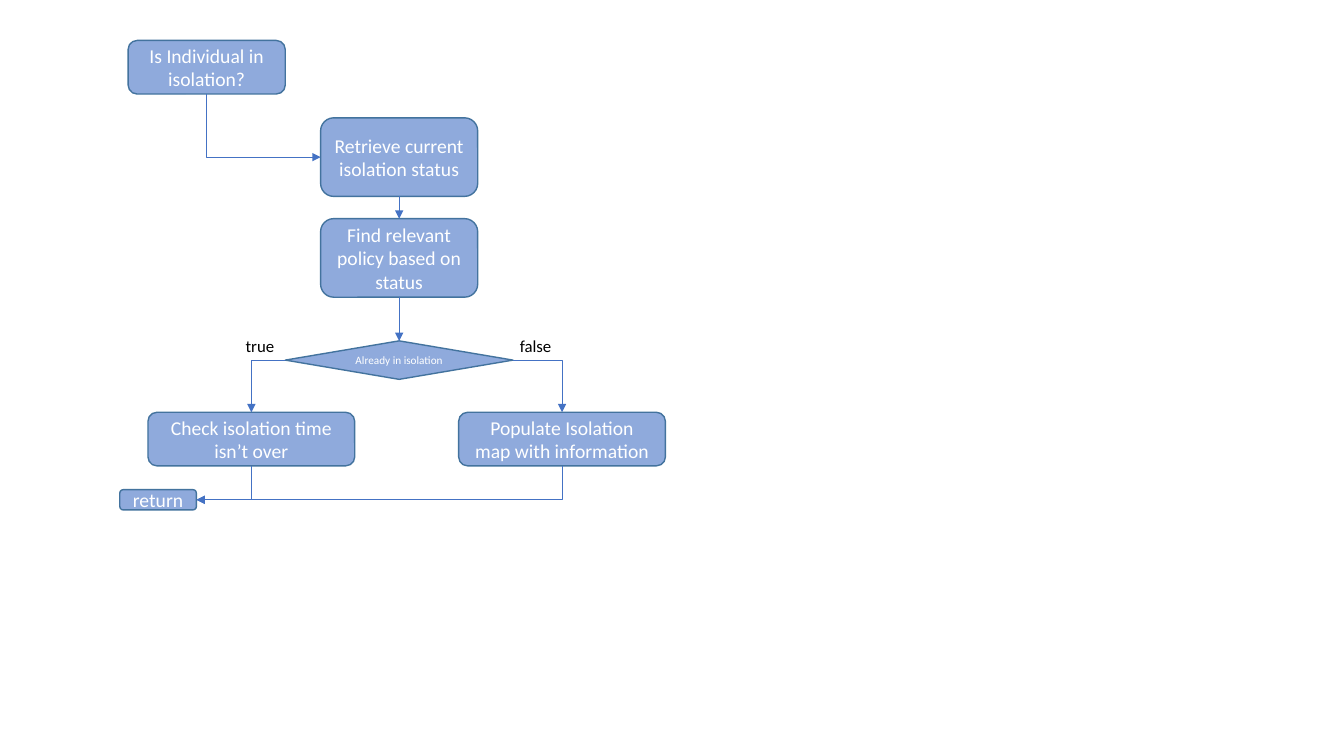
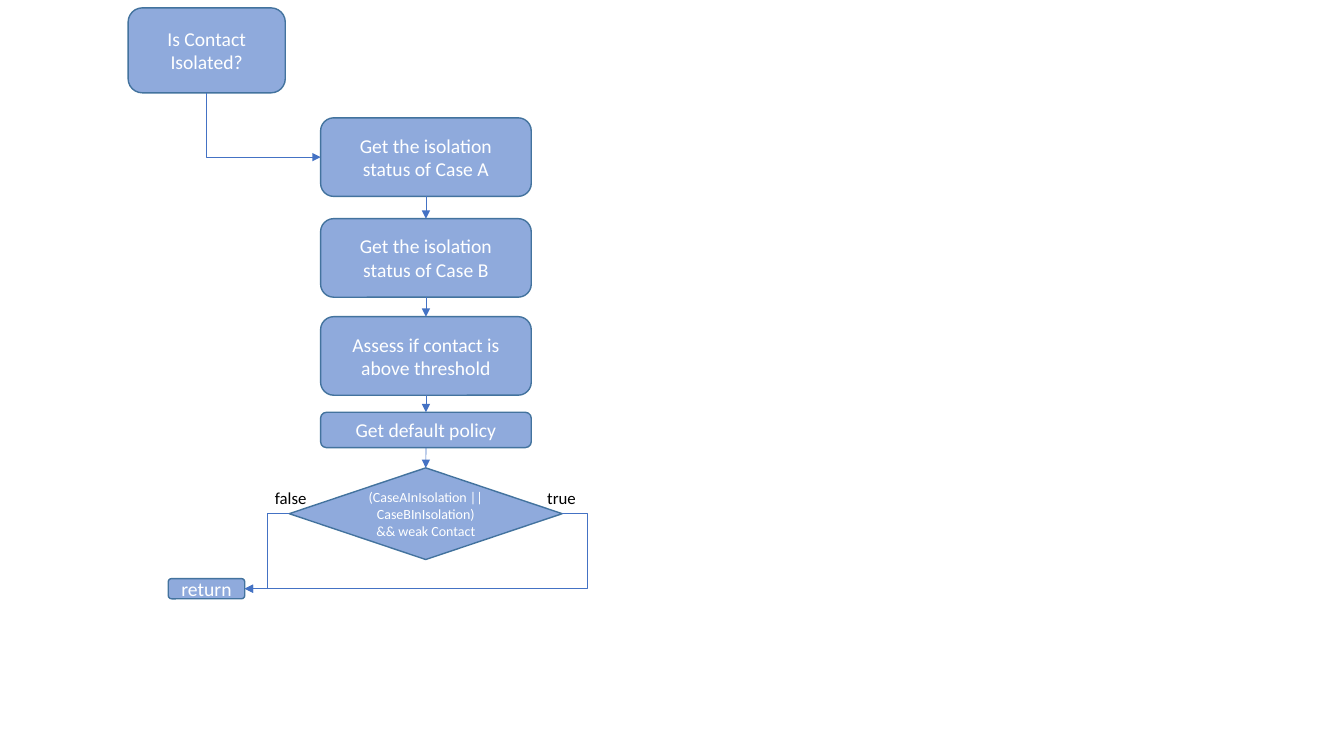
import pptx
import pptx.util
import pptx.dml.color
import pptx.enum.shapes
import pptx.enum.text
import pptx.oxml.ns
from dataclasses import dataclass
from lxml import etree

Cm, Pt = pptx.util.Cm, pptx.util.Pt
RGB = pptx.dml.color.RGBColor
Kind = pptx.enum.shapes.MSO_SHAPE
Link = pptx.enum.shapes.MSO_CONNECTOR
Text = pptx.enum.text
qn = pptx.oxml.ns.qn


@dataclass(frozen=True)
class Theme:
    font: str = "Calibri"
    fill: RGB = RGB(0x8F, 0xAA, 0xDC)
    edge: RGB = RGB(0x43, 0x73, 0x9E)
    line: RGB = RGB(0x44, 0x72, 0xC4)
    light: RGB = RGB(0xFF, 0xFF, 0xFF)
    dark: RGB = RGB(0, 0, 0)
    body: int = 14
    label: int = 12


THEME = Theme()
TOP, LEFT, BOTTOM, RIGHT = range(4)  # connection sites
BOX, TEST = Kind.ROUNDED_RECTANGLE, Kind.DIAMOND

# Boxes: name: (kind, left, top, width, height in cm, size, paragraphs)
# Links: (from, site, to, site, bend), bend None = straight, 0 = one corner,
#        otherwise the share of the width at which the line turns
# Labels: (left, top, width in cm, text)
FLOWS = [
    {
        "boxes": {
            "ask": (BOX, 3.23, 1.02, 3.96, 1.35, THEME.body, ["Is Individual in isolation?"]),
            "status": (BOX, 8.08, 2.97, 3.96, 1.98, THEME.body, ["Retrieve current isolation status"]),
            "policy": (BOX, 8.08, 5.51, 3.96, 1.98, THEME.body, ["Find relevant policy based on status"]),
            "test": (TEST, 7.19, 8.59, 5.74, 0.97, 8, ["Already in isolation"]),
            "check": (BOX, 3.73, 10.39, 5.21, 1.35, THEME.body, ["Check isolation time isn’t over"]),
            "fill": (BOX, 11.56, 10.39, 5.21, 1.35, THEME.body, ["Populate Isolation map with information"]),
            "return": (BOX, 3.02, 12.34, 1.93, 0.51, THEME.body, ["return"]),
        },
        "links": [
            ("ask", BOTTOM, "status", LEFT, 0),
            ("status", BOTTOM, "policy", TOP, None),
            ("policy", BOTTOM, "test", TOP, None),
            ("test", LEFT, "check", TOP, 0),
            ("test", RIGHT, "fill", TOP, 0),
            ("check", BOTTOM, "return", RIGHT, 0),
            ("fill", BOTTOM, "return", RIGHT, 0),
        ],
        "labels": [(5.94, 8.33, 1.24, "true"), (12.85, 8.33, 1.32, "false")],
    },
    {
        "boxes": {
            "ask": (BOX, 3.23, 0.2, 3.96, 2.14, THEME.body, ["Is Contact Isolated?"]),
            "case a": (BOX, 8.08, 2.97, 5.31, 1.98, THEME.body, ["Get the isolation status of Case A"]),
            "case b": (BOX, 8.08, 5.51, 5.31, 1.98, THEME.body, ["Get the isolation status of Case B"]),
            "assess": (BOX, 8.08, 7.98, 5.31, 1.98, THEME.body, ["Assess if contact is above threshold"]),
            "policy": (BOX, 8.08, 10.39, 5.31, 0.89, THEME.body, ["Get default policy"]),
            "test": (TEST, 7.29, 11.79, 6.88, 2.31, 10,
                     ["(CaseAInIsolation || CaseBInIsolation)", "&& weak Contact"]),
            "return": (BOX, 4.24, 14.58, 1.93, 0.51, THEME.body, ["return"]),
        },
        "links": [
            ("ask", BOTTOM, "case a", LEFT, 0),
            ("case a", BOTTOM, "case b", TOP, None),
            ("case b", BOTTOM, "assess", TOP, None),
            ("assess", BOTTOM, "policy", TOP, None),
            ("policy", BOTTOM, "test", TOP, None),
            ("test", LEFT, "return", RIGHT, 0.5),
            ("test", RIGHT, "return", RIGHT, -0.08),
        ],
        "labels": [(13.54, 12.17, 1.24, "true"), (6.68, 12.17, 1.32, "false")],
    },
]


def write(frame, paras, size, color, align):
    for i, text in enumerate(paras):
        para = frame.paragraphs[0] if i == 0 else frame.add_paragraph()
        para.alignment = align
        run = para.add_run()
        run.text = text
        run.font.name, run.font.size = THEME.font, Pt(size)
        run.font.color.rgb = color


def add_box(slide, kind, left, top, width, height, size, paras):
    box = slide.shapes.add_shape(kind, Cm(left), Cm(top), Cm(width), Cm(height))
    box.shadow.inherit = False
    box.fill.solid()
    box.fill.fore_color.rgb = THEME.fill
    box.line.color.rgb, box.line.width = THEME.edge, Pt(1)
    box.text_frame.word_wrap = True
    box.text_frame.vertical_anchor = Text.MSO_ANCHOR.MIDDLE
    write(box.text_frame, paras, size, THEME.light, Text.PP_ALIGN.CENTER)
    return box


def add_label(slide, left, top, width, text):
    box = slide.shapes.add_textbox(Cm(left), Cm(top), Cm(width), Cm(0.76))
    box.text_frame.word_wrap = False
    write(box.text_frame, [text], THEME.label, THEME.dark, Text.PP_ALIGN.LEFT)


def turn(line):
    """Rotate a one-corner line so that it leaves its box downwards."""
    right = line.end_x > line.begin_x
    mid_x = (line.begin_x + line.end_x) // 2
    mid_y = (line.begin_y + line.end_y) // 2
    line.width, line.height = line.height, line.width
    line.left, line.top = mid_x - line.width // 2, mid_y - line.height // 2
    frame = line._element.spPr.find(qn("a:xfrm"))
    frame.set("rot", str((270 if right else 90) * 60000))
    frame.set("flipH", "1" if right else "0")


def add_link(slide, start, out, end, into, bend):
    kind = Link.STRAIGHT if bend is None else Link.ELBOW
    line = slide.shapes.add_connector(kind, 0, 0, 0, 0)
    line.begin_connect(start, out)
    line.end_connect(end, into)
    line.line.color.rgb, line.line.width = THEME.line, Pt(0.5)
    props = line._element.spPr
    etree.SubElement(props.find(qn("a:ln")), qn("a:tailEnd"), type="triangle")
    etree.SubElement(props, qn("a:effectLst"))
    shape = props.find(qn("a:prstGeom"))
    if bend == 0:
        shape.set("prst", "bentConnector2")
        if out == BOTTOM:
            turn(line)
    elif bend is not None:
        etree.SubElement(shape.find(qn("a:avLst")), qn("a:gd"),
                         name="adj1", fmla=f"val {round(bend * 100000)}")


def main():
    deck = pptx.Presentation()
    deck.slide_width, deck.slide_height = Cm(33.87), Cm(19.05)
    for flow in FLOWS:
        slide = deck.slides.add_slide(deck.slide_layouts[6])
        boxes = {name: add_box(slide, *item) for name, item in flow["boxes"].items()}
        for start, out, end, into, bend in flow["links"]:
            add_link(slide, boxes[start], out, boxes[end], into, bend)
        for label in flow["labels"]:
            add_label(slide, *label)
    deck.save("out.pptx")


if __name__ == "__main__":
    main()
